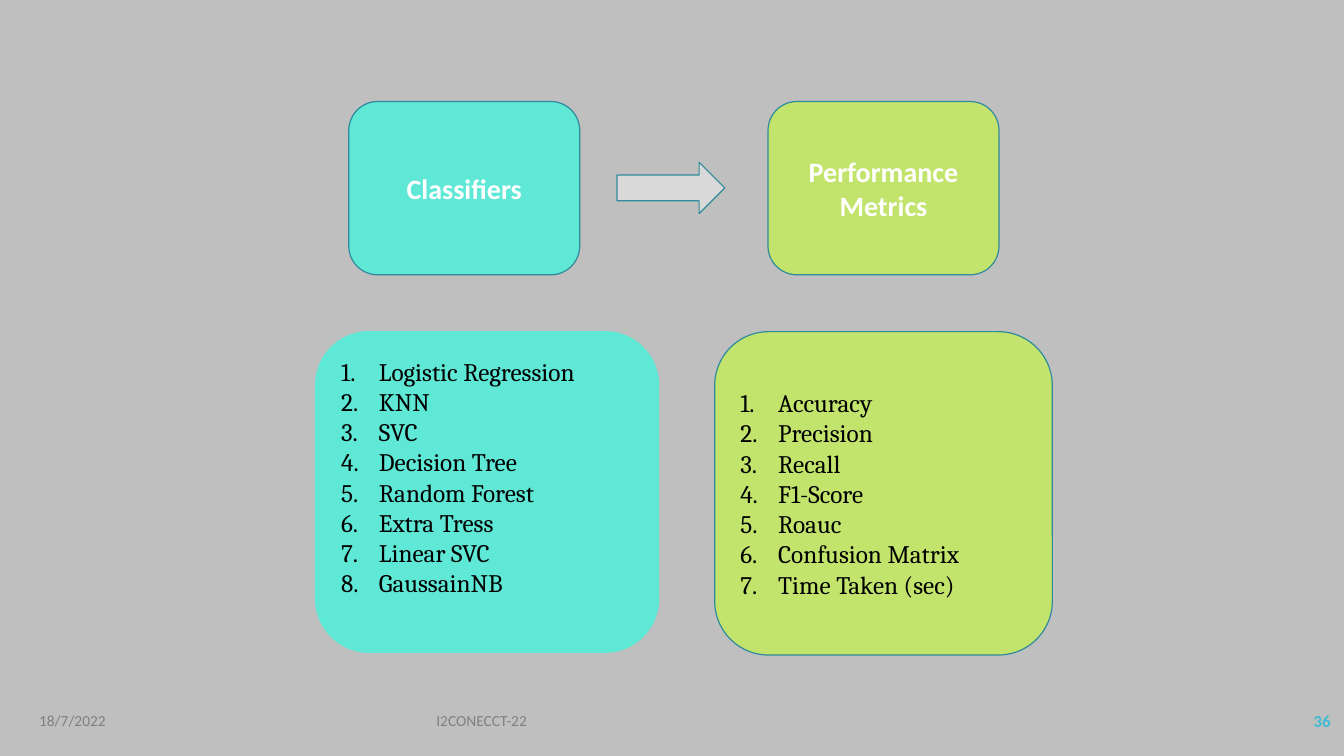
import pptx
import pptx.dml.color
import pptx.enum.shapes
import pptx.enum.text
import pptx.util
from pptx.oxml.xmlchemy import OxmlElement

Pt = pptx.util.Pt
SHAPE = pptx.enum.shapes.MSO_SHAPE
ALIGN = pptx.enum.text.PP_ALIGN
MIDDLE = pptx.enum.text.MSO_ANCHOR.MIDDLE

COLORS = {
    "background": "BFBFBF",
    "teal": "5FE8D6",
    "lime": "C2E46D",
    "arrow": "D9D9D9",
    "outline": "2F8A9B",
    "white": "FFFFFF",
    "black": "000000",
    "footer": "808080",
    "number": "40BAD2",
}
CLASSIFIERS = ["Logistic Regression", "KNN", "SVC", "Decision Tree",
               "Random Forest", "Extra Tress", "Linear SVC", "GaussainNB"]
METRICS = ["Accuracy", "Precision", "Recall", "F1-Score", "Roauc",
           "Confusion Matrix", "Time Taken (sec)"]
LIST_INDENT = Pt(27)


def rgb(name):
    return pptx.dml.color.RGBColor.from_string(COLORS[name])


def format_paragraph(p, size, color, font="Calibri", bold=False, align=ALIGN.LEFT):
    p.alignment = align
    for r in p.runs:
        r.font.name = font
        r.font.size = Pt(size)
        r.font.bold = bold
        r.font.color.rgb = rgb(color)


def number_paragraph(p):
    """Give the paragraph an automatic number with a hanging indent."""
    pPr = p._p.get_or_add_pPr()
    pPr.set("marL", str(LIST_INDENT))
    pPr.set("indent", str(-LIST_INDENT))
    bullet = OxmlElement("a:buAutoNum")
    bullet.set("type", "arabicPeriod")
    pPr.append(bullet)


def add_block(slide, kind, box, fill, line="outline"):
    sp = slide.shapes.add_shape(kind, *map(Pt, box))
    sp.shadow.inherit = False
    sp.fill.solid()
    sp.fill.fore_color.rgb = rgb(fill)
    sp.line.color.rgb = rgb(line)
    sp.line.width = Pt(0.85)
    sp.text_frame.vertical_anchor = MIDDLE
    return sp


def add_heading(slide, box, text, fill):
    sp = add_block(slide, SHAPE.ROUNDED_RECTANGLE, box, fill)
    p = sp.text_frame.paragraphs[0]
    p.text = text
    format_paragraph(p, 20, "white", bold=True, align=ALIGN.CENTER)


def add_numbered_list(slide, box, items, fill, line, bottom_inset, align):
    sp = add_block(slide, SHAPE.ROUNDED_RECTANGLE, box, fill, line)
    tf = sp.text_frame
    tf.margin_bottom = Pt(bottom_inset)
    tf.text = "\n".join(items)
    for p in tf.paragraphs:
        number_paragraph(p)
        format_paragraph(p, 18, "black", font="Cambria", align=align)


def add_footer_text(slide, left, width, text, size, color, **style):
    sp = slide.shapes.add_textbox(Pt(left), Pt(500.4), Pt(width), Pt(28.8))
    tf = sp.text_frame
    tf.word_wrap = True
    tf.vertical_anchor = MIDDLE
    tf.text = text
    format_paragraph(tf.paragraphs[0], size, color, **style)


def add_footer(slide):
    add_footer_text(slide, 20.9, 216, "18/7/2022", 11, "footer")
    add_footer_text(slide, 304.6, 465, "I2CONECCT-22", 11, "footer")
    add_footer_text(slide, 837.4, 120.2, "36", 12, "number",
                    bold=True, align=ALIGN.RIGHT)


def main():
    prs = pptx.Presentation()
    prs.slide_width, prs.slide_height = Pt(960), Pt(540)
    slide = prs.slides.add_slide(prs.slide_layouts[6])
    slide.background.fill.solid()
    slide.background.fill.fore_color.rgb = rgb("background")

    add_heading(slide, (249.1, 72.5, 165, 123.8), "Classifiers", "teal")
    add_heading(slide, (548.6, 72.5, 165, 123.8), "Performance Metrics", "lime")
    add_numbered_list(slide, (225.4, 236.9, 245, 229), CLASSIFIERS,
                      "teal", "teal", 25, ALIGN.JUSTIFY)
    add_numbered_list(slide, (510.5, 236.9, 241.2, 231), METRICS,
                      "lime", "outline", 3.6, ALIGN.LEFT)
    add_block(slide, SHAPE.RIGHT_ARROW, (440.8, 115.9, 77, 36.7), "arrow")
    add_footer(slide)
    prs.save("out.pptx")


if __name__ == "__main__":
    main()
